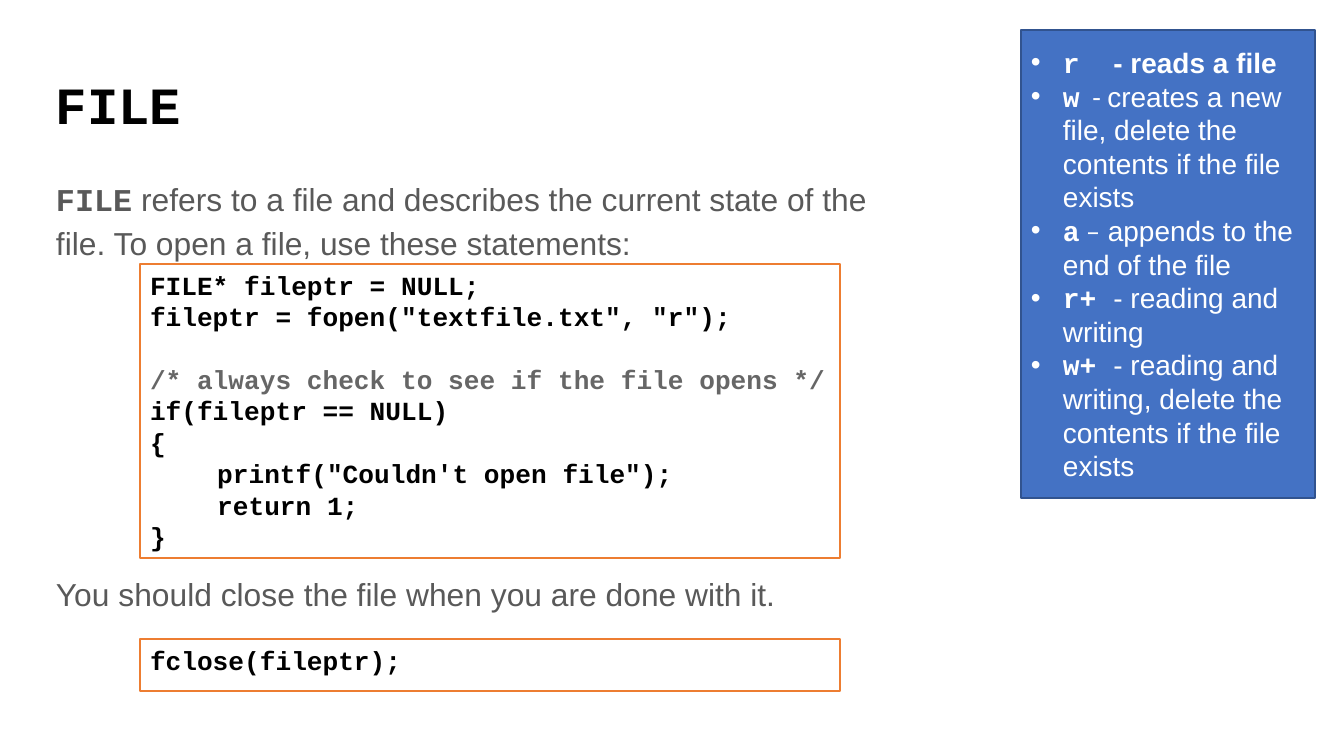
from lxml.etree import SubElement
from pptx import Presentation
from pptx.dml.color import RGBColor
from pptx.enum.shapes import MSO_SHAPE
from pptx.enum.text import MSO_ANCHOR, MSO_AUTO_SIZE, PP_ALIGN
from pptx.oxml.ns import qn
from pptx.util import Emu, Pt

PX = 9144000 / 1344  # EMU per px

BLACK = RGBColor(0x00, 0x00, 0x00)
WHITE = RGBColor(0xFF, 0xFF, 0xFF)
BODY_GREY = RGBColor(0x59, 0x59, 0x59)
COMMENT_GREY = RGBColor(0x66, 0x66, 0x66)
BLUE = RGBColor(0x44, 0x72, 0xC4)
DARK_BLUE = RGBColor(0x31, 0x53, 0x8F)
ORANGE = RGBColor(0xED, 0x7D, 0x31)

SANS, MONO, DASH = "Arial", "Courier New", "Calibri"


def set_frame(shape, left, top, width, height, anchor):
    """Place a shape and give its text frame the common settings."""
    shape.left, shape.top = Emu(round(left * PX)), Emu(round(top * PX))
    shape.width, shape.height = Emu(round(width * PX)), Emu(round(height * PX))
    frame = shape.text_frame
    frame.word_wrap = True
    frame.auto_size = MSO_AUTO_SIZE.NONE
    frame.vertical_anchor = anchor
    frame.margin_left = frame.margin_right = Emu(round(10 * PX))
    frame.margin_top = frame.margin_bottom = Emu(round(5 * PX))
    return frame


def add_run(paragraph, text, font, size, color, bold=False):
    paragraph.alignment = PP_ALIGN.LEFT
    run = paragraph.add_run()
    run.text = text
    run.font.name = font
    run.font.size = Pt(size)
    run.font.bold = bold
    run.font.color.rgb = color


presentation = Presentation()
presentation.slide_width = Emu(round(1344 * PX))
presentation.slide_height = Emu(round(756 * PX))
slide = presentation.slides.add_slide(presentation.slide_layouts[5])
shapes = slide.shapes

# Title
frame = set_frame(shapes.title, 46, 66, 1252, 84, MSO_ANCHOR.MIDDLE)
paragraph = frame.paragraphs[0]
paragraph.line_spacing = 0.9
add_run(paragraph, "FILE", MONO, 28, BLACK, True)

# Explanation, with room for the code between its two paragraphs
text_box = shapes.add_textbox(0, 0, 0, 0)
frame = set_frame(text_box, 46, 169, 887, 503, MSO_ANCHOR.TOP)
opening = frame.paragraphs[0]
add_run(opening, "FILE", MONO, 17, BODY_GREY, True)
add_run(opening, " refers to a file and describes the current state of the file. "
        "To open a file, use these statements:", SANS, 17, BODY_GREY)
closing = frame.add_paragraph()
closing.space_before = Pt(165)
add_run(closing, "You should close the file when you are done with it.",
        SANS, 17, BODY_GREY)
for paragraph in frame.paragraphs:
    paragraph.line_spacing = 1.15

# Sidebar of file modes: each item is a list of (text, font, bold)
MODES = [
    [("r  ", MONO, True), ("- reads a file", SANS, True)],
    [("w", MONO, True), ("  - ", DASH, False),
     ("creates a new file, delete the contents if the file exists", SANS, False)],
    [("a", MONO, True), (" –", DASH, False),
     (" appends to the end of the file", SANS, False)],
    [("r+ ", MONO, True), ("- reading and writing", SANS, False)],
    [("w+ ", MONO, True),
     ("- reading and writing, delete the contents if the file exists", SANS, False)],
]
sidebar = shapes.add_shape(MSO_SHAPE.RECTANGLE, 0, 0, 0, 0)
sidebar.shadow.inherit = False
sidebar.fill.solid()
sidebar.fill.fore_color.rgb = BLUE
sidebar.line.color.rgb = DARK_BLUE
sidebar.line.width = Pt(1)
frame = set_frame(sidebar, 1021, 30, 294, 468, MSO_ANCHOR.MIDDLE)
for index, mode in enumerate(MODES):
    paragraph = frame.add_paragraph() if index else frame.paragraphs[0]
    properties = paragraph._p.get_or_add_pPr()
    properties.set("marL", str(round(32 * PX)))
    properties.set("indent", str(round(-32 * PX)))
    bullet_color = SubElement(properties, qn("a:buClr"))
    SubElement(bullet_color, qn("a:srgbClr"), val=str(WHITE))
    SubElement(properties, qn("a:buFont"), typeface=SANS)
    SubElement(properties, qn("a:buChar"), char="•")
    for text, font, bold in mode:
        add_run(paragraph, text, font, 15, WHITE, bold)

# Code boxes: top, height, lines
OPEN_CODE = [
    "FILE* fileptr = NULL;",
    'fileptr = fopen("textfile.txt", "r");',
    "/* always check to see if the file opens */",
    "if(fileptr == NULL)",
    "{",
    '\tprintf("Couldn\'t open file");',
    "\treturn 1;",
    "}",
]
for top, height, lines in [(264, 294, OPEN_CODE), (639, 52, ["fclose(fileptr);"])]:
    code_box = shapes.add_shape(MSO_SHAPE.RECTANGLE, 0, 0, 0, 0)
    code_box.shadow.inherit = False
    code_box.fill.solid()
    code_box.fill.fore_color.rgb = WHITE
    code_box.line.color.rgb = ORANGE
    code_box.line.width = Pt(1)
    frame = set_frame(code_box, 140, top, 700, height, MSO_ANCHOR.TOP)
    for index, line in enumerate(lines):
        paragraph = frame.add_paragraph() if index else frame.paragraphs[0]
        is_comment = line.startswith("/*")
        if is_comment:
            paragraph.space_before = Pt(17)
        add_run(paragraph, line, MONO, 14, COMMENT_GREY if is_comment else BLACK, True)

presentation.save("out.pptx")
